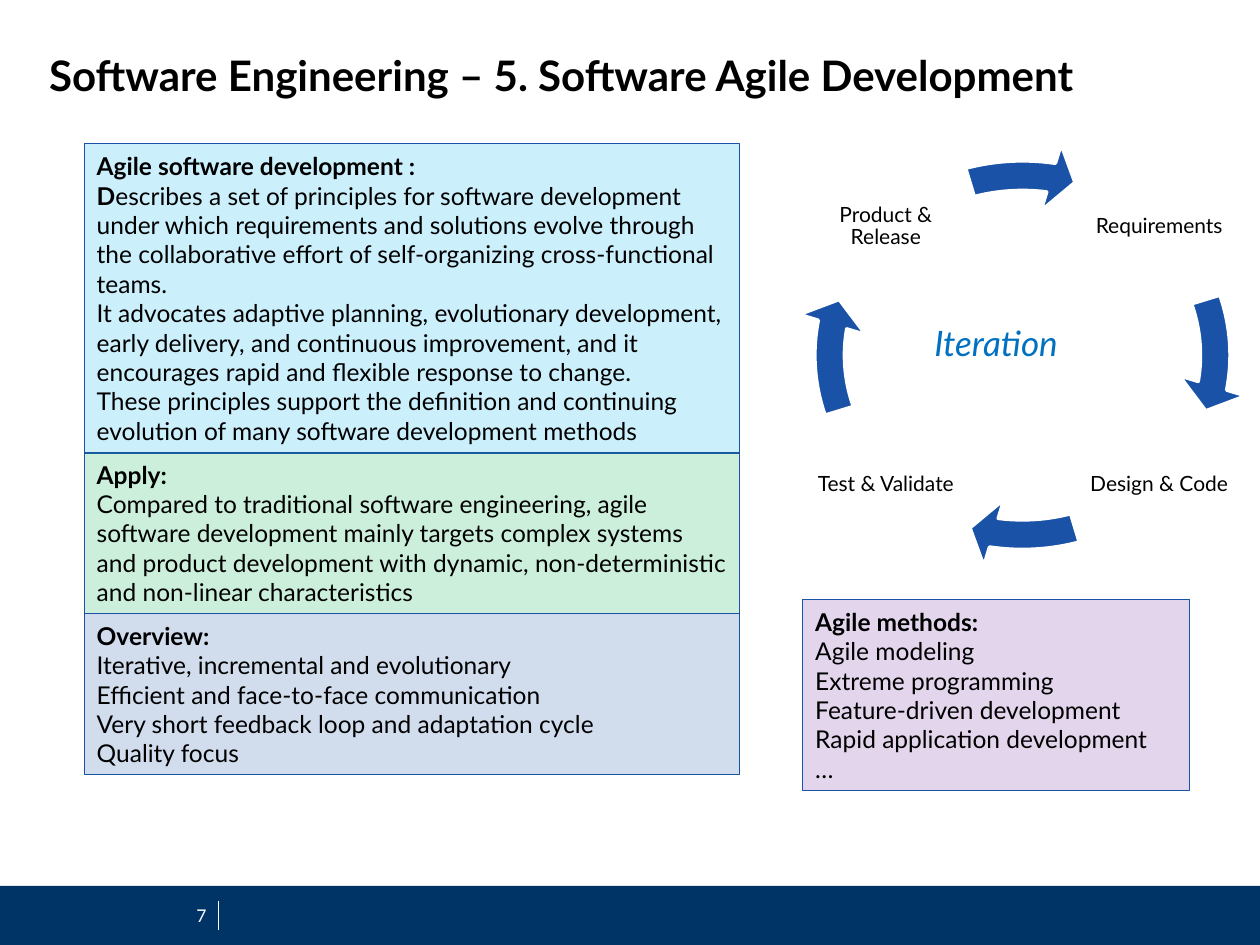
"""Build a slide on agile software development with an iteration cycle."""
from dataclasses import dataclass

from lxml import etree
from pptx import Presentation
from pptx.dml.color import RGBColor
from pptx.enum.shapes import MSO_CONNECTOR, MSO_SHAPE
from pptx.enum.text import MSO_ANCHOR, MSO_AUTO_SIZE, PP_ALIGN
from pptx.oxml.ns import qn
from pptx.util import Pt

RECTANGLE = MSO_SHAPE.RECTANGLE
CIRCULAR_ARROW = MSO_SHAPE.CIRCULAR_ARROW
STRAIGHT = MSO_CONNECTOR.STRAIGHT
TOP, MIDDLE = MSO_ANCHOR.TOP, MSO_ANCHOR.MIDDLE
LEFT, CENTER, RIGHT = PP_ALIGN.LEFT, PP_ALIGN.CENTER, PP_ALIGN.RIGHT
GROW = MSO_AUTO_SIZE.SHAPE_TO_FIT_TEXT

FONT = "Lato"
BLACK, WHITE, NAVY, BLUE, SKY = "000000", "FFFFFF", "003366", "1952A6", "0070C0"
FULL_TURN = 216
QUARTER_TURN = FULL_TURN / 4


@dataclass(frozen=True)
class Frame:
    """A rectangle in points."""
    left: float
    top: float
    width: float
    height: float

    def lengths(self) -> list:
        return [Pt(value) for value in (self.left, self.top, self.width, self.height)]


@dataclass(frozen=True)
class Label:
    """A one-paragraph text box."""
    text: str
    frame: Frame
    size: float
    color: str = BLACK
    align: PP_ALIGN = CENTER
    anchor: MSO_ANCHOR = MIDDLE
    margin: float = 0
    bold: bool = False
    italic: bool = False
    spacing: float = 1.0


@dataclass(frozen=True)
class Panel:
    """A tinted box with a bold heading, an optional bold initial and lines."""
    heading: str
    lines: tuple[str, ...]
    tint: str
    frame: Frame
    initial: str = ""


def rgb(color: str) -> RGBColor:
    """Turn a hex string into a colour."""
    return RGBColor.from_string(color)


def style_font(font, size: float, color: str) -> None:
    """Set typeface, size and colour."""
    font.name = FONT
    font.size = Pt(size)
    font.color.rgb = rgb(color)


def add_filled(page, kind: MSO_SHAPE, frame: Frame, fill: str):
    """Add a shadowless solid shape."""
    shape = page.shapes.add_shape(kind, *frame.lengths())
    shape.shadow.inherit = False
    shape.fill.solid()
    shape.fill.fore_color.rgb = rgb(fill)
    return shape


def set_line(shape, color: str, width: float) -> None:
    """Set line colour and width."""
    shape.line.color.rgb = rgb(color)
    shape.line.width = Pt(width)


def add_label(page, label: Label) -> None:
    """Add a text box holding one paragraph."""
    box = page.shapes.add_textbox(*label.frame.lengths())
    text = box.text_frame
    text.word_wrap = True
    text.vertical_anchor = label.anchor
    text.margin_left = text.margin_right = Pt(label.margin)
    text.margin_top = text.margin_bottom = Pt(label.margin)
    para = text.paragraphs[0]
    para.text = label.text
    para.alignment = label.align
    para.line_spacing = label.spacing
    style_font(para.font, label.size, label.color)
    para.font.bold = label.bold
    para.font.italic = label.italic


def add_panel(page, panel: Panel) -> None:
    """Add a tinted panel with its text."""
    box = add_filled(page, RECTANGLE, panel.frame, panel.tint)
    color = box.fill._xPr.find(qn("a:solidFill"))[0]
    etree.SubElement(color, qn("a:alpha")).set("val", "20000")
    set_line(box, BLUE, 0.75)
    text = box.text_frame
    text.word_wrap = True
    text.auto_size = GROW
    text.vertical_anchor = MIDDLE
    for index, line in enumerate((panel.heading, *panel.lines)):
        para = text.add_paragraph() if index else text.paragraphs[0]
        para.alignment = LEFT
        style_font(para.font, 14, BLACK)
        para.font.bold = index == 0
        if index == 1 and panel.initial:
            span = para.add_run()
            span.text = panel.initial
            span.font.bold = True
        para.add_run().text = line


def add_cycle_arrow(page, step: int) -> None:
    """Add the arc arrow that follows the given quarter of the cycle."""
    arrow = add_filled(page, CIRCULAR_ARROW, Frame(454.3, 80.6, 260, 244.8), BLUE)
    set_line(arrow, WHITE, 2)
    head = 5.487 + step * QUARTER_TURN
    tail = (205.858 + step * QUARTER_TURN) % FULL_TURN
    for index, value in enumerate((0.069, 4.655, head, tail, 0.081)):
        arrow.adjustments[index] = value


def add_footer(page) -> None:
    """Add the footer band, its divider and the slide number."""
    band = add_filled(page, RECTANGLE, Frame(0, 506.2, 720, 33.8), NAVY)
    band.line.fill.background()
    divider = page.shapes.add_connector(STRAIGHT, Pt(124.5), Pt(514.8), Pt(124.5), Pt(531.4))
    set_line(divider, WHITE, 0.25)
    etree.SubElement(divider.line._ln.getparent(), qn("a:effectLst"))
    add_label(page, Label("7", Frame(98.6, 515.5, 19.4, 15.8), 10, WHITE, RIGHT))


STEPS = (
    ("Requirements", 616.3, 86.4),
    ("Design & Code", 616.3, 234),
    ("Test & Validate", 460.1, 234),
    ("Product & Release", 460.1, 86.4),
)
PANELS = (
    Panel(
        "Agile software development :",
        (
            "escribes a set of principles for software development under which requirements and "
            "solutions evolve through the collaborative effort of self-organizing "
            "cross-functional teams.",
            "It advocates adaptive planning, evolutionary development, early delivery, and "
            "continuous improvement, and it encourages rapid and flexible response to change.",
            "These principles support the definition and continuing evolution of many software "
            "development methods",
        ),
        "00B0F0", Frame(48.2, 82, 374.4, 176.8), "D",
    ),
    Panel(
        "Apply:",
        (
            "Compared to traditional software engineering, agile software development mainly "
            "targets complex systems and product development with dynamic, non-deterministic "
            "and non-linear characteristics",
        ),
        "00B050", Frame(48.2, 258.5, 374.4, 92.2),
    ),
    Panel(
        "Overview:",
        (
            "Iterative, incremental and evolutionary",
            "Efficient and face-to-face communication",
            "Very short feedback loop and adaptation cycle",
            "Quality focus",
        ),
        BLUE, Frame(48.2, 350.6, 374.4, 92.2),
    ),
    Panel(
        "Agile methods:",
        ("Agile modeling", "Extreme programming", "Feature-driven development",
         "Rapid application development", "…"),
        "7030A0", Frame(458.8, 342.7, 221, 108.9),
    ),
)


def main() -> None:
    """Build and save the deck."""
    deck = Presentation()
    deck.slide_width, deck.slide_height = Pt(720), Pt(540)
    page = deck.slides.add_slide(deck.slide_layouts[6])
    add_footer(page)
    add_label(page, Label("Software Engineering – 5. Software Agile Development",
                          Frame(28.1, 28.1, 663.1, 54.7), 24, align=LEFT, anchor=TOP, bold=True))
    for step, (name, left, top) in enumerate(STEPS):
        add_label(page, Label(name, Frame(left, top, 92.2, 86.4), 12, margin=1.2, spacing=0.9))
        add_cycle_arrow(page, step)
    add_label(page, Label("Iteration", Frame(514.1, 178.6, 110.2, 33.8), 20, SKY,
                          margin=3.6, italic=True))
    for panel in PANELS:
        add_panel(page, panel)
    deck.save("out.pptx")


if __name__ == "__main__":
    main()
